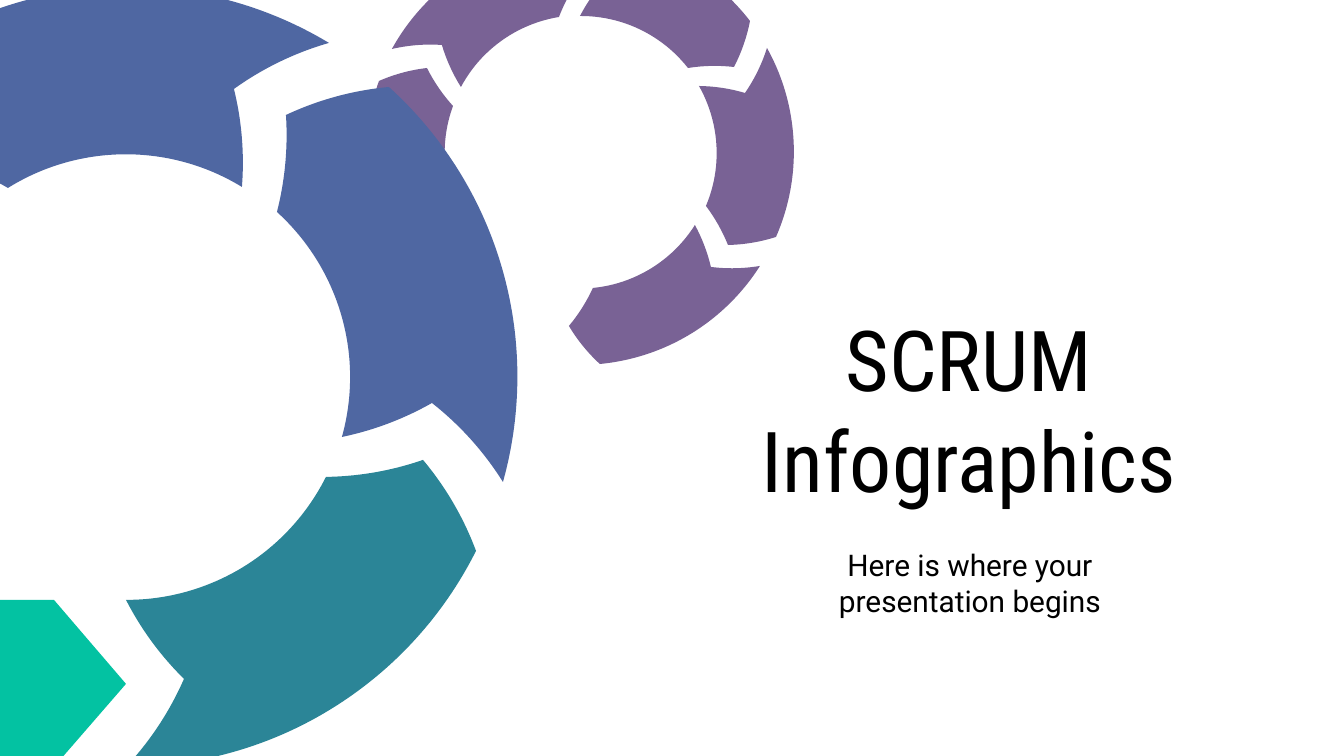
from copy import deepcopy
from dataclasses import dataclass
from math import asin, cos, hypot, sin, tan

from pptx import Presentation
from pptx import util as u
from pptx.dml import color
from pptx.enum import text
from pptx.oxml import ns

SCALE = 9144000 / 1344


@dataclass
class Ring:
    """Arc radii in px, and the way its arrows turn (1 clockwise, -1 counter)."""
    inner: int
    outer: int
    edge: int
    turn: int


@dataclass
class Arrow:
    """One ring arrow: outer, middle and inner tail points, then the head."""
    ring: Ring
    fill: str
    points: list[tuple[int, int]]


@dataclass
class Curve:
    """A cubic curve: two control points and its end, in px."""
    first: tuple[float, float]
    second: tuple[float, float]
    end: tuple[float, float]


@dataclass
class Label:
    """A centred text box with its frame in px and size in points."""
    words: str
    box: tuple[int, int, int, int]
    font: str
    size: int
    anchor: text.MSO_ANCHOR


BIG = Ring(223, 391, 310, 1)
SMALL = Ring(136, 213, 170, -1)
PURPLE, TEAL, BLUE, GREEN = "796295", "2B8597", "4F67A2", "03C2A2"

ARROWS = [
    Arrow(SMALL, PURPLE, [(776, 237), (728, 245), (706, 206),
                          (699, 86), (745, 93), (767, 48)]),
    Arrow(SMALL, PURPLE, [(379, 81), (427, 68), (453, 106),
                          (466, 226), (421, 222), (400, 267)]),
    Arrow(SMALL, PURPLE, [(547, -59), (581, -23), (559, 17),
                          (461, 87), (442, 45), (392, 49)]),
    Arrow(SMALL, PURPLE, [(750, 21), (734, 67), (688, 68),
                          (580, 16), (607, -22), (580, -62)]),
    Arrow(SMALL, PURPLE, [(600, 364), (569, 326), (593, 288),
                          (695, 225), (711, 267), (760, 266)]),
    Arrow(BIG, TEAL, [(476, 551), (423, 460), (326, 477),
                      (126, 600), (184, 679), (126, 767)]),
    Arrow(BIG, BLUE, [(389, 87), (286, 115), (277, 212),
                      (342, 437), (432, 403), (503, 482)]),
    Arrow(BIG, BLUE, [(-81, 47), (-84, 153), (8, 188),
                      (242, 187), (234, 89), (329, 43)]),
]

BASE = [(-367, 600), (-296, 684), (-367, 767), (54, 767), (126, 684), (54, 600)]

LABELS = [
    Label("SCRUM Infographics", (685, 294, 568, 229), "Roboto Condensed", 45,
          text.MSO_ANCHOR.BOTTOM),
    Label("Here is where your presentation begins", (784, 533, 372, 79), "Roboto", 16,
          text.MSO_ANCHOR.TOP),
]


def px(size: float) -> u.Emu:
    """Turn px into EMU."""
    return u.Emu(round(size * SCALE))


def rgb(code: str) -> color.RGBColor:
    """Turn a hex string into a colour."""
    return color.RGBColor.from_string(code)


def draw_shape(slide, points: list[tuple], fill: str):
    """Draw a closed outline with a flat fill and no line or shadow."""
    spots = [(px(x), px(y)) for x, y in points]
    pen = slide.shapes.build_freeform(*spots[0], scale=1.0)
    pen.add_line_segments(spots[1:], close=True)
    shape = pen.convert_to_shape()
    shape.fill.solid()
    shape.fill.fore_color.rgb = rgb(fill)
    shape.line.fill.background()
    shape.shadow.inherit = False
    return shape


def arc(start: tuple, end: tuple, bend: int, count: int) -> list[Curve]:
    """Split a circular arc, bulging left for a positive radius, into curves."""
    wide, high = end[0] - start[0], end[1] - start[1]
    chord = hypot(wide, high)
    radius, side = abs(bend), 1 if bend > 0 else -1
    half = asin(chord / 2 / radius)
    pull = 4 / 3 * tan(half / count / 2)

    def spot(step: int, shift: float) -> tuple[float, float]:
        """Find a point on the arc, moved along its tangent."""
        angle = half * (2 * step / count - 1)
        along = 0.5 + radius * (sin(angle) + shift * cos(angle)) / chord
        rise = side * radius * (cos(angle) - cos(half) - shift * sin(angle)) / chord
        return (start[0] + wide * along + high * rise,
                start[1] + high * along - wide * rise)

    return [Curve(spot(step, pull), spot(step + 1, -pull), spot(step + 1, 0))
            for step in range(count)]


def draw_arrow(slide, arrow: Arrow) -> None:
    """Draw one curved arrow of a ring."""
    ring, points = arrow.ring, arrow.points
    bends = [-ring.edge, ring.edge, ring.inner, -ring.edge, ring.edge, -ring.outer]
    counts = [1, 1, 3, 1, 1, 3]
    curves = []
    for start, end, bend, count in zip(points, points[1:] + points[:1], bends, counts):
        curves += arc(start, end, bend * ring.turn, count)
    shape = draw_shape(slide, points[:1] + [curve.end for curve in curves], arrow.fill)
    lines = list(shape._element.iter(ns.qn("a:lnTo")))
    for line, curve in zip(lines, curves):
        line.tag = ns.qn("a:cubicBezTo")
        for place, (x, y) in enumerate((curve.first, curve.second)):
            point = deepcopy(line[-1])
            point.set("x", str(px(x) - shape.left))
            point.set("y", str(px(y) - shape.top))
            line.insert(place, point)


def draw_label(slide, label: Label) -> None:
    """Draw one text box."""
    frame = slide.shapes.add_textbox(*map(px, label.box)).text_frame
    frame.word_wrap = True
    frame.vertical_anchor = label.anchor
    frame.margin_left = frame.margin_right = u.Inches(0.1)
    frame.margin_top = frame.margin_bottom = u.Inches(0.1)
    para = frame.paragraphs[0]
    para.text = label.words
    para.alignment = text.PP_ALIGN.CENTER
    para.font.name = label.font
    para.font.size = u.Pt(label.size)
    para.font.color.rgb = rgb("000000")


def main() -> None:
    """Build the slide and save it."""
    deck = Presentation()
    deck.slide_width, deck.slide_height = px(1344), px(756)
    slide = deck.slides.add_slide(deck.slide_layouts[6])
    for arrow in ARROWS:
        draw_arrow(slide, arrow)
    draw_shape(slide, BASE, GREEN)
    for label in LABELS:
        draw_label(slide, label)
    deck.save("out.pptx")


if __name__ == "__main__":
    main()
